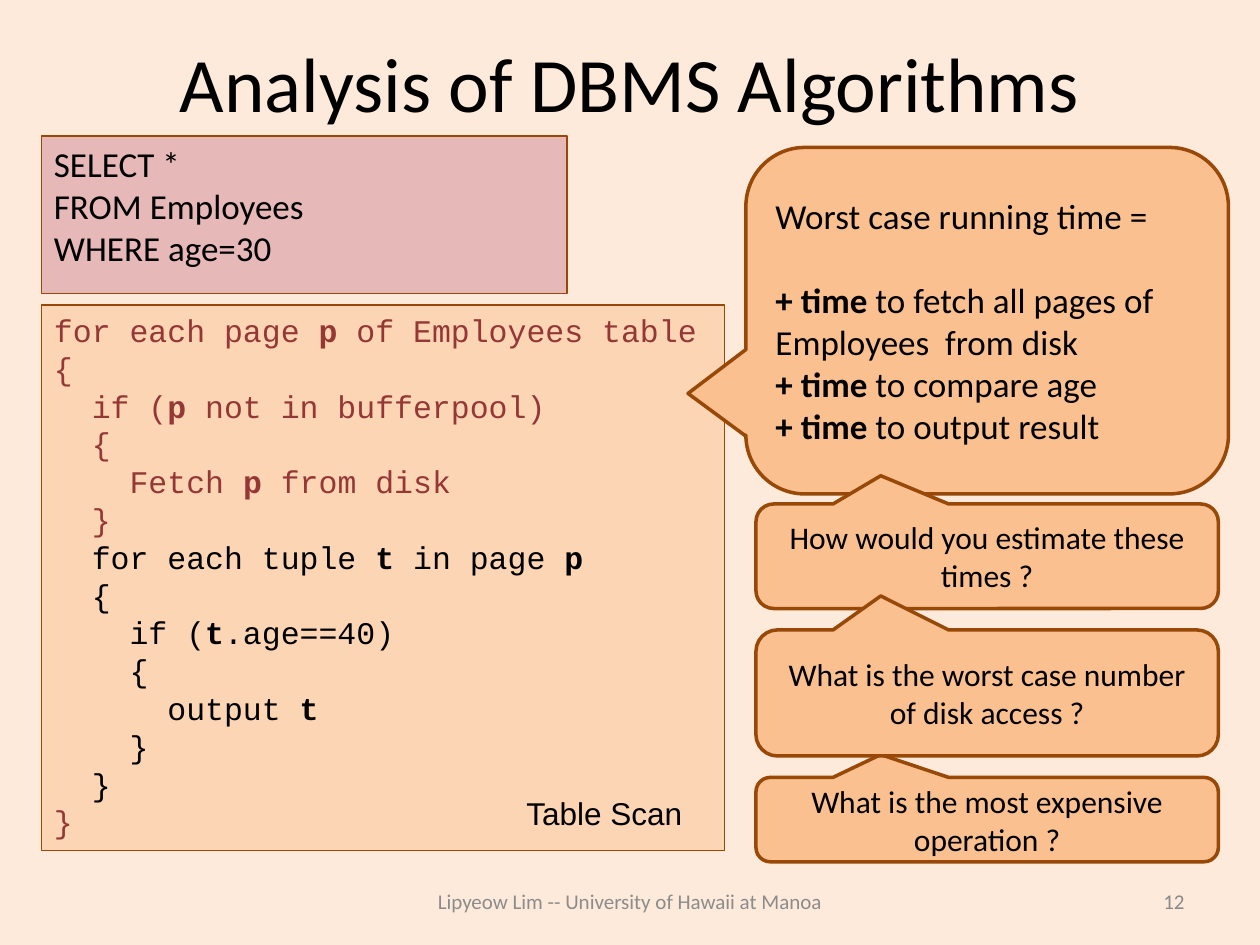
import pptx
import pptx.dml.color
import pptx.enum.shapes
import pptx.enum.text
import pptx.util
from dataclasses import dataclass

Inches = pptx.util.Inches
Pt = pptx.util.Pt
Align = pptx.enum.text.PP_ALIGN
Anchor = pptx.enum.text.MSO_ANCHOR
Preset = pptx.enum.shapes.MSO_SHAPE


@dataclass(frozen=True)
class Theme:
    background: str = "FDEADA"
    query_fill: str = "E6B9B8"
    code_fill: str = "FCD5B5"
    callout_fill: str = "FAC090"
    border: str = "984807"
    text: str = "000000"
    disk_code: str = "953735"
    footer: str = "8C8C8C"
    page_number: str = "898989"
    title_size: int = 44
    large_size: int = 20
    body_size: int = 18
    footer_size: int = 12
    body_font: str = "Calibri"
    code_font: str = "Courier New"
    label_font: str = "Arial"


def rgb(value):
    return pptx.dml.color.RGBColor.from_string(value)


def apply(target, values):
    for name, value in values.items():
        setattr(target, name, value)


class SlideBuilder:
    def __init__(self, slide, theme):
        self.slide = slide
        self.theme = theme
        slide.background.fill.solid()
        slide.background.fill.fore_color.rgb = rgb(theme.background)

    def fill_text(self, shape, lines, size, font=None, color=None, align=Align.LEFT,
                  anchor=Anchor.TOP, wrap=True, gaps=None):
        frame = shape.text_frame
        apply(frame, {"word_wrap": wrap, "vertical_anchor": anchor})
        for index, line in enumerate(lines):
            paragraph = frame.paragraphs[0] if index == 0 else frame.add_paragraph()
            paragraph.alignment = align
            if gaps and index in gaps:
                paragraph.space_before = Pt(gaps[index])
            line_text, line_color = line if isinstance(line, tuple) else (line, color)
            for position, part in enumerate(line_text.split("|")):
                if part:
                    run = paragraph.add_run()
                    run.text = part
                    apply(run.font, {"name": font or self.theme.body_font,
                                     "size": Pt(size), "bold": position % 2 == 1})
                    run.font.color.rgb = rgb(line_color or self.theme.text)

    def text(self, box, content, size, **style):
        shape = self.slide.shapes.add_textbox(*map(Inches, box))
        self.fill_text(shape, [content], size, **style)

    def shape(self, preset, box, fill, line_width):
        shape = self.slide.shapes.add_shape(preset, *map(Inches, box))
        shape.shadow.inherit = False
        shape.fill.solid()
        shape.fill.fore_color.rgb = rgb(fill)
        shape.line.color.rgb = rgb(self.theme.border)
        shape.line.width = Pt(line_width)
        return shape

    def panel(self, box, fill, lines, size, **style):
        shape = self.shape(Preset.RECTANGLE, box, fill, 0.75)
        self.fill_text(shape, lines, size, wrap=False, **style)

    def callout(self, box, pointer, lines, size, **style):
        shape = self.shape(Preset.ROUNDED_RECTANGULAR_CALLOUT, box,
                           self.theme.callout_fill, 2)
        for index, value in enumerate((*pointer, 0.17)):
            shape.adjustments[index] = value
        self.fill_text(shape, lines, size, anchor=Anchor.MIDDLE, **style)

    def question(self, top, height, content):
        self.callout((6, top, 3.67, height), (-0.23, -0.77), [content],
                     self.theme.body_size, align=Align.CENTER)


def main():
    theme = Theme()
    presentation = pptx.Presentation()
    apply(presentation, {"slide_width": Inches(10), "slide_height": Inches(7.5)})
    slide = presentation.slides.add_slide(presentation.slide_layouts[6])
    builder = SlideBuilder(slide, theme)

    builder.text((0.5, 0.3, 9, 0.7), "Analysis of DBMS Algorithms", theme.title_size,
                 align=Align.CENTER, anchor=Anchor.MIDDLE)
    builder.text((3, 6.95, 4, 0.4), "Lipyeow Lim -- University of Hawaii at Manoa",
                 theme.footer_size, color=theme.footer, align=Align.CENTER,
                 anchor=Anchor.MIDDLE)
    builder.text((7.17, 6.95, 2.33, 0.4), "12", theme.footer_size,
                 color=theme.page_number, align=Align.RIGHT, anchor=Anchor.MIDDLE)

    builder.panel((0.33, 1.08, 4.17, 1.25), theme.query_fill,
                  ["SELECT *", "FROM Employees", "WHERE age=30"], theme.large_size)

    page_loop = [
        "for each page |p| of Employees table",
        "{",
        "  if (|p| not in bufferpool)",
        "  {",
        "    Fetch |p| from disk",
        "  }",
    ]
    tuple_loop = [
        "  for each tuple |t| in page |p|",
        "  {",
        "    if (|t|.age==40)",
        "    {",
        "      output |t|",
        "    }",
        "  }",
    ]
    code = ([(line, theme.disk_code) for line in page_loop] + tuple_loop
            + [("}", theme.disk_code)])
    builder.panel((0.33, 2.42, 5.42, 4.33), theme.code_fill, code, theme.body_size,
                  font=theme.code_font)

    builder.question(6.17, 0.67, "What is the most expensive operation ?")
    builder.callout((5.92, 1.17, 3.83, 2.75), (-0.62, 0.21), [
        "Worst case running time =",
        "|+ time| to fetch all pages of Employees  from disk",
        "|+ time| to compare age",
        "|+ time| to output result",
    ], theme.large_size, gaps={1: 24})
    builder.text((4.08, 6.25, 1.45, 0.4), "Table Scan", theme.body_size,
                 font=theme.label_font, wrap=False)
    builder.question(4, 0.83, "How would you estimate these times ?")
    builder.question(5, 1, "What is the worst case number of disk access ?")

    presentation.save("out.pptx")


if __name__ == "__main__":
    main()
